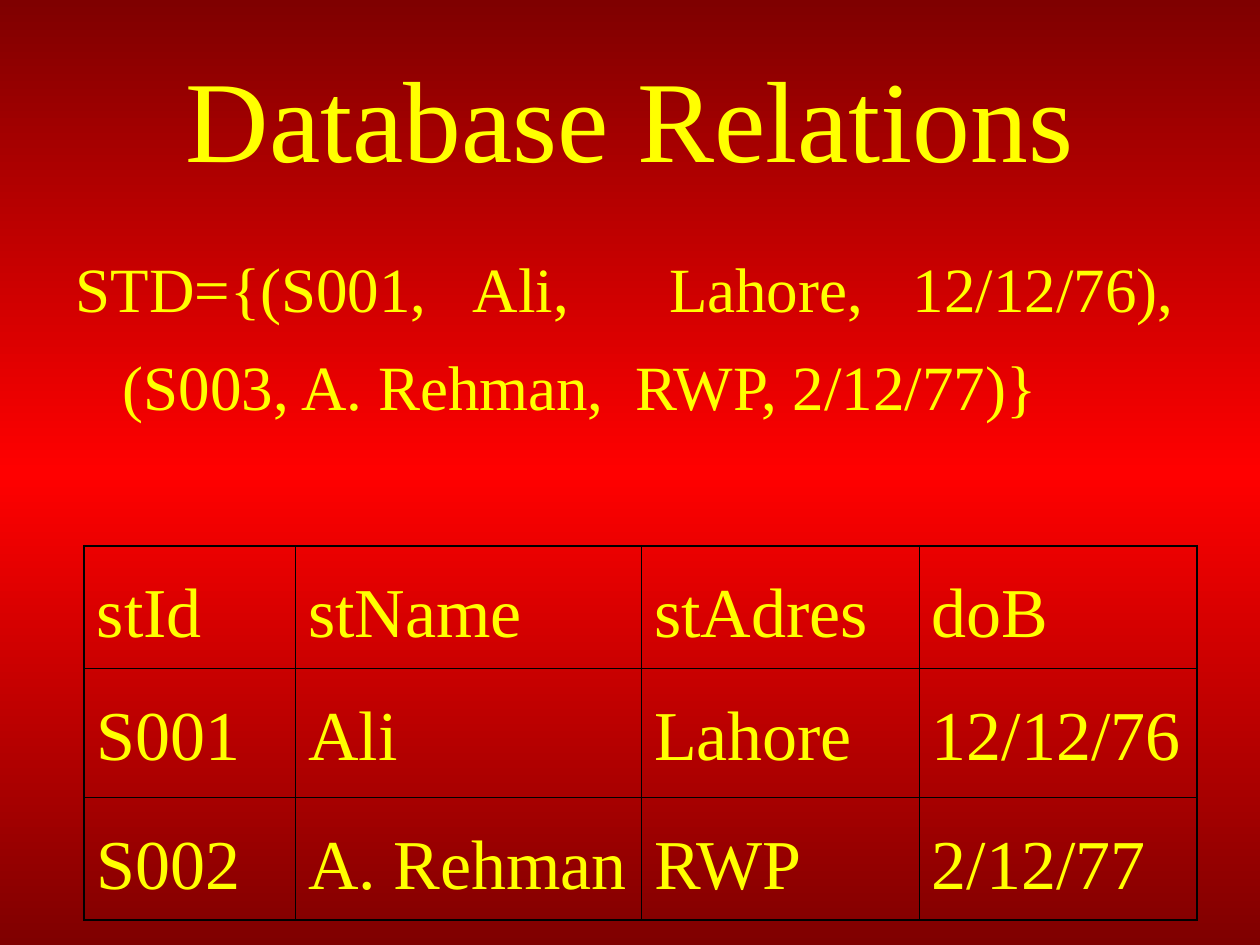
import copy
from dataclasses import dataclass

import pptx
import pptx.dml.color
import pptx.enum.text
import pptx.oxml
import pptx.oxml.ns
import pptx.util
from lxml import etree

Cm = pptx.util.Cm
Pt = pptx.util.Pt
qn = pptx.oxml.ns.qn
Align = pptx.enum.text.PP_ALIGN
Anchor = pptx.enum.text.MSO_ANCHOR

FACE = "Times New Roman"
YELLOW = "FFFF00"
BLACK = "000000"
THIN, THICK = 0.45, 1.08


@dataclass
class Block:
    text: str
    left: float
    top: float
    width: float
    height: float
    size: int
    align: int
    anchor: int
    spacing: float


@dataclass
class Grid:
    left: float
    top: float
    cols: list[float]
    rows: list[float]
    data: list[list[str]]


TITLE = Block("Database Relations", 1.27, 0.76, 22.86, 3.18, 66,
              Align.CENTER, Anchor.MIDDLE, 1.0)
BODY = Block("STD={(S001, Ali,  Lahore, 12/12/76), (S003, A. Rehman,  RWP, 2/12/77)}",
             1.27, 4.45, 22.66, 4.88, 36, Align.JUSTIFY, Anchor.TOP, 1.3)
STUDENTS = Grid(1.7, 11, [4.26, 6.97, 5.6, 5.6], [2.47, 2.6, 2.47], [
    ["stId", "stName", "stAdres", "doB"],
    ["S001", "Ali", "Lahore", "12/12/76"],
    ["S002", "A. Rehman", "RWP", "2/12/77"],
])


def color(code: str) -> pptx.dml.color.RGBColor:
    return pptx.dml.color.RGBColor.from_string(code)


def style(para, size: int, spacing: float) -> None:
    para.line_spacing = spacing
    para.space_before = Pt(0)
    para.font.size = Pt(size)
    para.font.name = FACE
    para.font.color.rgb = color(YELLOW)


def paint(slide) -> None:
    fill = slide.background.fill
    fill.gradient()
    fill.gradient_angle = 270
    stops = slide.element.find(".//" + qn("a:gsLst"))
    stops.append(copy.deepcopy(stops[0]))
    tones = [(0, "7F0000"), (0.5, "FF0000"), (1, "7F0000")]
    for stop, (place, code) in zip(fill.gradient_stops, tones):
        stop.position = place
        stop.color.rgb = color(code)


def place(shape, block: Block):
    shape.left, shape.top = Cm(block.left), Cm(block.top)
    shape.width, shape.height = Cm(block.width), Cm(block.height)
    frame = shape.text_frame
    frame.text = block.text
    frame.word_wrap = True
    frame.auto_size = pptx.enum.text.MSO_AUTO_SIZE.NONE
    frame.vertical_anchor = block.anchor
    para = frame.paragraphs[0]
    para.alignment = block.align
    style(para, block.size, block.spacing)
    return para


def hang(para, depth: float) -> None:
    props = para._p.get_or_add_pPr()
    props.set("marL", str(Cm(depth)))
    props.set("indent", str(-Cm(depth)))
    mark = pptx.oxml.parse_xml(f'<a:buNone {pptx.oxml.ns.nsdecls("a")}/>')
    props.find(qn("a:defRPr")).addprevious(mark)


def border(cell, widths: dict[str, float]) -> None:
    props = cell._tc.get_or_add_tcPr()
    for spot, (side, width) in enumerate(widths.items()):
        line = etree.Element(qn("a:ln" + side), w=str(Pt(width)))
        fill = etree.SubElement(line, qn("a:solidFill"))
        etree.SubElement(fill, qn("a:srgbClr"), val=BLACK)
        props.insert(spot, line)


def draw(slide, grid: Grid) -> None:
    high, wide = len(grid.rows), len(grid.cols)
    table = slide.shapes.add_table(
        high, wide, Cm(grid.left), Cm(grid.top),
        Cm(sum(grid.cols)), Cm(sum(grid.rows))).table
    table.first_row = table.horz_banding = False
    for col, width in zip(table.columns, grid.cols):
        col.width = Cm(width)
    for r, (row, height) in enumerate(zip(table.rows, grid.rows)):
        row.height = Cm(height)
        for c, cell in enumerate(row.cells):
            cell.text = grid.data[r][c]
            style(cell.text_frame.paragraphs[0], 40, 1.3)
            cell.fill.background()
            border(cell, {
                "L": THICK if c == 0 else THIN,
                "R": THICK if c == wide - 1 else THIN,
                "T": THICK if r == 0 else THIN,
                "B": THICK if r == high - 1 else THIN,
            })


def main() -> None:
    deck = pptx.Presentation()
    deck.slide_width, deck.slide_height = Cm(25.4), Cm(19.05)
    slide = deck.slides.add_slide(deck.slide_layouts[1])
    paint(slide)
    place(slide.shapes.title, TITLE)
    hang(place(slide.placeholders[1], BODY), 0.95)
    draw(slide, STUDENTS)
    deck.save("out.pptx")


if __name__ == "__main__":
    main()
